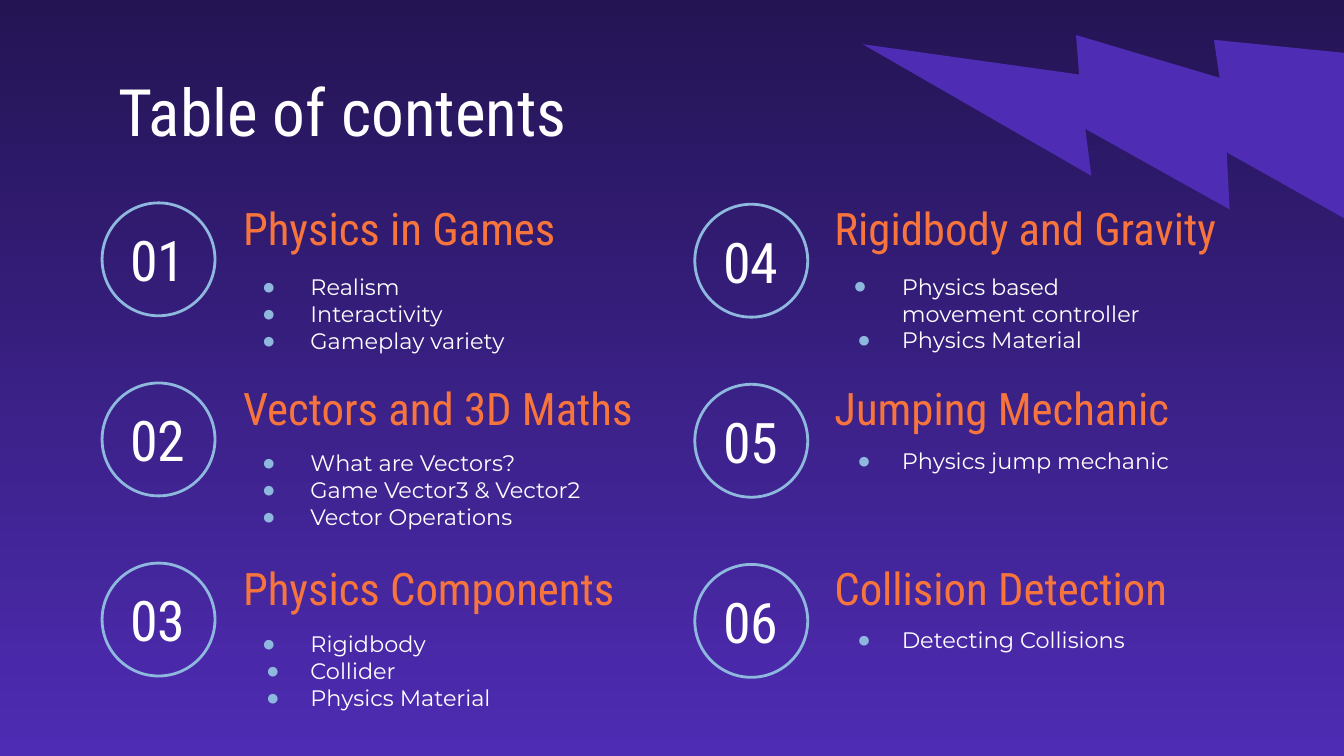
from copy import deepcopy

from pptx import Presentation
from pptx.dml.color import RGBColor
from pptx.enum.shapes import MSO_SHAPE
from pptx.enum.text import MSO_ANCHOR, MSO_AUTO_SIZE, PP_ALIGN
from pptx.oxml import parse_xml
from pptx.oxml.ns import nsdecls, qn
from pptx.util import Inches, Pt

NIGHT = RGBColor(0x24, 0x14, 0x54)
VIOLET = RGBColor(0x4E, 0x2C, 0xB3)
ORANGE = RGBColor(0xF7, 0x74, 0x3C)
SKY = RGBColor(0x8E, 0xB8, 0xDE)
WHITE = RGBColor(0xFF, 0xFF, 0xFF)
HEAD_FONT, BODY_FONT = "Roboto Condensed", "Montserrat"

TITLE = "Table of contents"
# heading, list items, number of wide-hanging bullets, list top, list height
SECTIONS = [
    ("Physics in Games", ["Realism", "Interactivity", "Gameplay variety"], 3, 1.83, 1.01),
    ("Vectors and 3D Maths",
     ["What are Vectors?", "Game Vector3 & Vector2", "Vector Operations"], 3, 3.14, 1.01),
    ("Physics Components", ["Rigidbody", "Collider", "Physics Material"], 1, 4.55, 0.88),
    ("Rigidbody and Gravity",
     ["Physics based movement controller", "Physics Material"], 1, 1.89, 0.88),
    ("Jumping Mechanic", ["Physics jump mechanic"], 0, 3.23, 0.4),
    ("Collision Detection", ["Detecting Collisions"], 0, 4.56, 0.4),
]

SLIDE_W = 10
SLIDE_H = SLIDE_W * 9 / 16
ROWS = 3
TOP, ROW_STEP = 1.51, 1.34
COLUMNS = [(0.76, 1.71, 0), (5.17, 6.11, 0.01)]  # circle left, text left, circle drop
CIRCLE = 0.84
NUMBER_W, NUMBER_H = 0.89, 0.96
NUMBER_DX, NUMBER_DY = 0.03, 0.06
HEADING_W, HEADING_H = 3.41, 0.37
LIST_W = 2.76
LIST_INDENT, WIDE_HANG, NARROW_HANG = 0.5, 0.36, 0.33


def place(sp, left, top, width, height):
    sp.left, sp.top, sp.width, sp.height = map(Inches, (left, top, width, height))


def set_frame(tf, anchor):
    tf.word_wrap = True
    tf.auto_size = MSO_AUTO_SIZE.NONE
    tf.vertical_anchor = anchor
    tf.margin_left = tf.margin_right = tf.margin_top = tf.margin_bottom = Inches(0.1)


def add_run(p, text, size, font, color):
    r = p.add_run()
    r.text = text
    r.font.size, r.font.name = Pt(size), font
    r.font.color.rgb = color


def add_label(s, box, text, size, color, align):
    sp = s.shapes.add_textbox(*map(Inches, box))
    set_frame(sp.text_frame, MSO_ANCHOR.MIDDLE)
    p = sp.text_frame.paragraphs[0]
    p.alignment = align
    add_run(p, text, size, HEAD_FONT, color)


def add_circle(s, left, top):
    sp = s.shapes.add_shape(MSO_SHAPE.OVAL, *map(Inches, (left, top, CIRCLE, CIRCLE)))
    sp.shadow.inherit = False
    sp.fill.background()
    sp.line.color.rgb, sp.line.width = SKY, Pt(1.5)


def set_bullet(p, hang):
    pPr = p._p.get_or_add_pPr()
    pPr.set("marL", str(Inches(LIST_INDENT)))
    pPr.set("indent", str(-Inches(hang)))
    for xml in (f'<a:buClr {nsdecls("a")}><a:srgbClr val="{SKY}"/></a:buClr>',
                f'<a:buChar {nsdecls("a")} char="●"/>'):
        pPr.append(parse_xml(xml))


def fill_list(sp, items, wide_count):
    tf = sp.text_frame
    set_frame(tf, MSO_ANCHOR.MIDDLE)
    for i, item in enumerate(items):
        p = tf.paragraphs[0] if i == 0 else tf.add_paragraph()
        p.alignment = PP_ALIGN.LEFT
        p.space_before = p.space_after = Pt(0)
        set_bullet(p, WIDE_HANG if i < wide_count else NARROW_HANG)
        add_run(p, item, 12, BODY_FONT, WHITE)


def add_list_placeholders(layout, count):
    """Give the layout count body placeholders, one per section."""
    body = layout.placeholders[1].element
    for i in range(1, count):
        twin = deepcopy(body)
        twin.nvSpPr.cNvPr.set("id", str(100 + i))
        next(twin.iter(qn("p:ph"))).set("idx", str(20 + i))
        body.getparent().append(twin)


prs = Presentation()
prs.slide_width, prs.slide_height = Inches(SLIDE_W), Inches(SLIDE_H)
layout = prs.slide_layouts[1]
add_list_placeholders(layout, len(SECTIONS))
s = prs.slides.add_slide(layout)

bg = s.background.fill
bg.gradient()
bg.gradient_angle = 270
for stop, position, color in zip(bg.gradient_stops, (0, 1), (NIGHT, VIOLET)):
    stop.position, stop.color.rgb = position, color

bolt = s.shapes.add_shape(MSO_SHAPE.LIGHTNING_BOLT, *map(Inches, (7, -0.68, 3.17, 3.17)))
bolt.shadow.inherit = False
bolt.fill.solid()
bolt.fill.fore_color.rgb = VIOLET
bolt.line.fill.background()
bolt.rotation = 59.9
bolt.element.spPr.xfrm.set("flipH", "1")
s.shapes._spTree.insert(2, bolt.element)  # behind the text

title = s.shapes.title
place(title, 0.78, 0.43, 8.43, 0.64)
set_frame(title.text_frame, MSO_ANCHOR.TOP)
title.text_frame.paragraphs[0].alignment = PP_ALIGN.LEFT
add_run(title.text_frame.paragraphs[0], TITLE, 35, HEAD_FONT, WHITE)

lists = [ph for ph in s.placeholders if ph.placeholder_format.idx != 0]
for i, (heading, items, wide_count, list_top, list_h) in enumerate(SECTIONS):
    col, row = divmod(i, ROWS)
    circle_x, text_x, drop = COLUMNS[col]
    y = TOP + row * ROW_STEP
    add_circle(s, circle_x, y + drop)
    number_box = (circle_x - NUMBER_DX, y + drop - NUMBER_DY, NUMBER_W, NUMBER_H)
    add_label(s, number_box, f"{i + 1:02}", 30, WHITE, PP_ALIGN.CENTER)
    add_label(s, (text_x, y, HEADING_W, HEADING_H), heading, 24, ORANGE, PP_ALIGN.LEFT)
    place(lists[i], text_x, list_top, LIST_W, list_h)
    fill_list(lists[i], items, wide_count)

prs.save("out.pptx")
